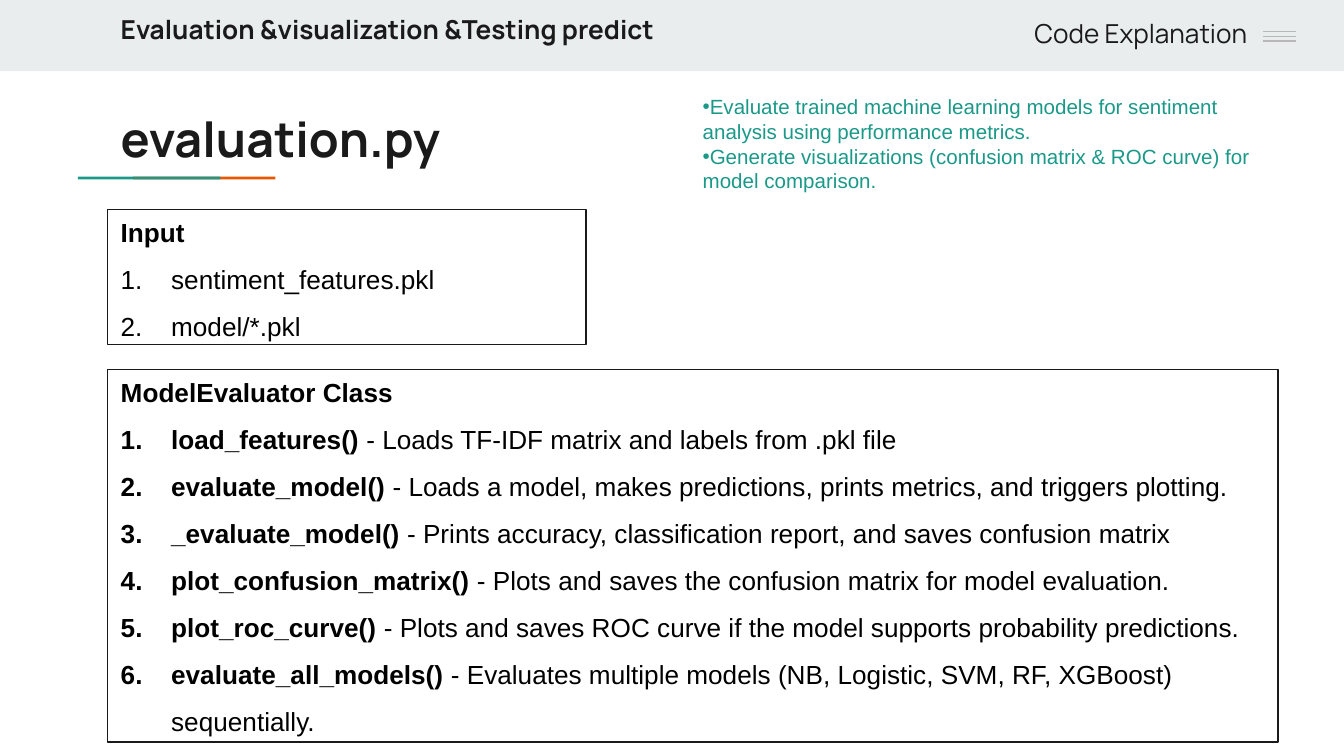
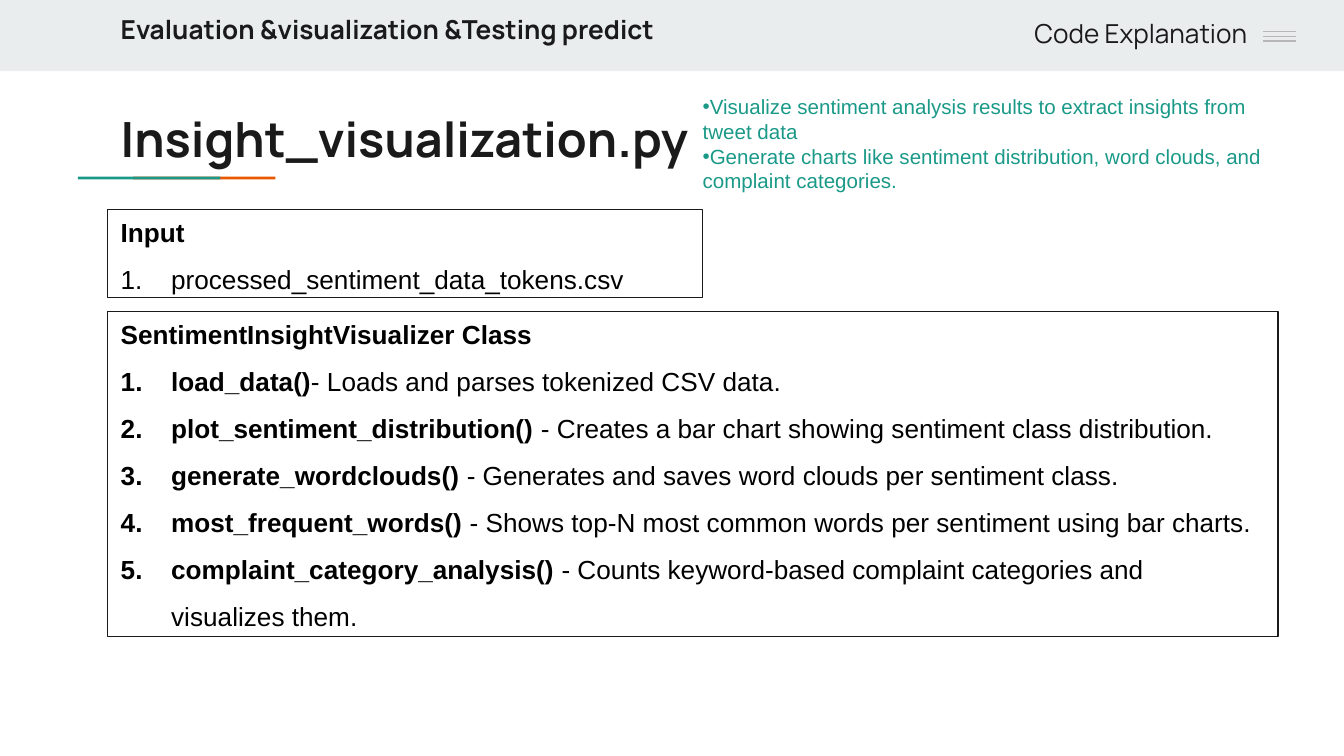
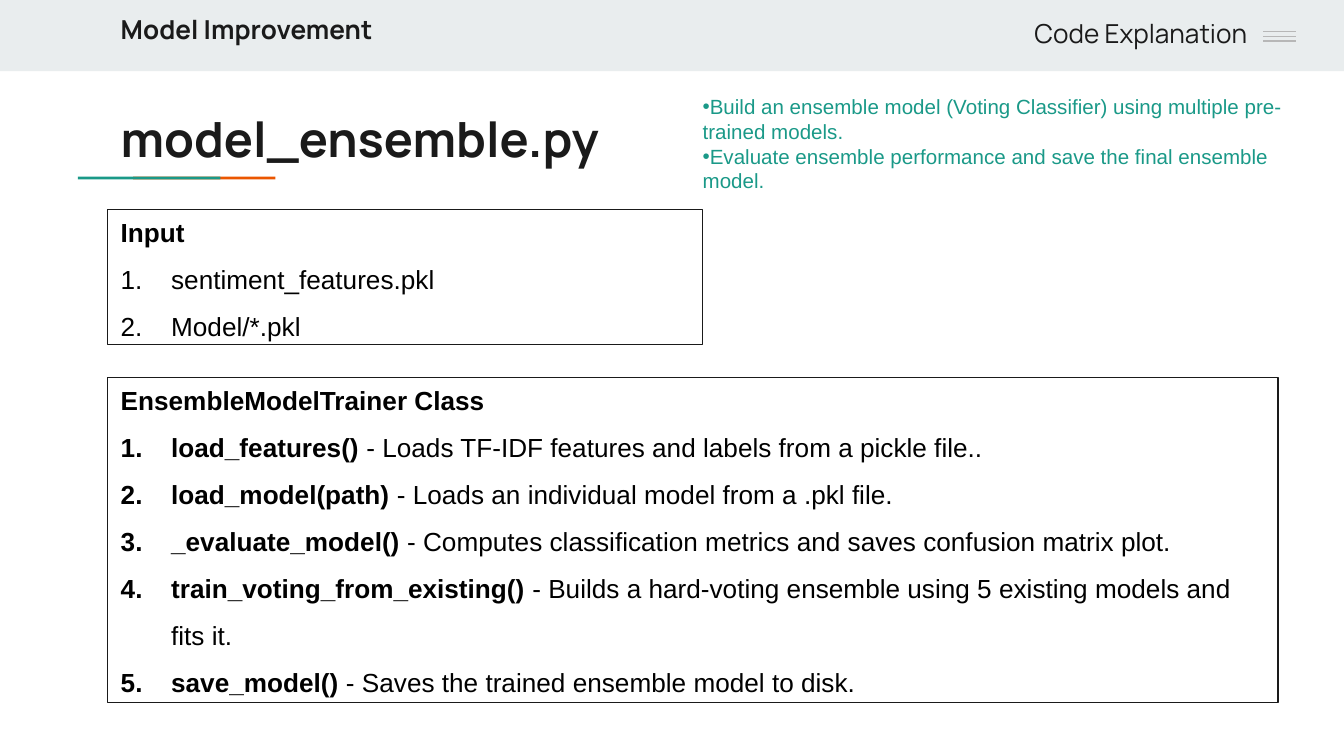
from dataclasses import dataclass, field
from typing import NamedTuple

from lxml.etree import SubElement
from pptx import Presentation
from pptx.dml.color import RGBColor
from pptx.enum.shapes import MSO_CONNECTOR, MSO_SHAPE
from pptx.enum.text import MSO_ANCHOR, MSO_AUTO_SIZE, PP_ALIGN
from pptx.oxml.ns import qn
from pptx.util import Emu, Inches, Pt

SLIDE_W = Inches(10)
SLIDE_H = Emu(SLIDE_W * 9 // 16)
CELL = SLIDE_W / 100


@dataclass(frozen=True)
class Theme:
    """Colours, fonts and type sizes of the deck."""
    band: str = "E9EDEE"
    ink: str = "1A1A1A"
    body: str = "000000"
    teal: str = "1A9988"
    orange: str = "EB5600"
    menu: str = "B7B7B7"
    hairline: Pt = Pt(0.75)
    title: dict = field(default_factory=lambda: {"name": "Manrope", "size": Pt(26), "bold": True})
    section: dict = field(default_factory=lambda: {"name": "Manrope", "size": Pt(14), "bold": True})
    corner: dict = field(default_factory=lambda: {"name": "Manrope", "size": Pt(14), "bold": False})
    goal: dict = field(default_factory=lambda: {"name": "Arial", "size": Pt(11), "bold": False})
    strong: dict = field(default_factory=lambda: {"name": "Arial", "size": Pt(14), "bold": True})
    plain: dict = field(default_factory=lambda: {"name": "Arial", "size": Pt(14), "bold": False})


T = Theme()


class Box(NamedTuple):
    """A rectangle in cells of the 100-column square grid."""
    col: float
    row: float
    cols: float
    rows: float


class Method(NamedTuple):
    """A listed method, or a plain input file when only the note is given."""
    call: str
    note: str


@dataclass(frozen=True)
class Panel:
    """An outlined box with a heading and a numbered list."""
    heading: str
    items: list[Method]
    row: float
    cols: float
    lines: int


@dataclass(frozen=True)
class ModulePage:
    """The content of one slide about a Python module."""
    section: str
    title: str
    goals: list[str]
    panels: list[Panel]


EVALUATION = "Evaluation &visualization &Testing predict"
WIDE = 87.1

PAGES = [
    ModulePage(EVALUATION, "evaluation.py", [
        "Evaluate trained machine learning models for sentiment analysis using performance metrics.",
        "Generate visualizations (confusion matrix & ROC curve) for model comparison.",
    ], [
        Panel("Input", [Method("", "sentiment_features.pkl"), Method("", "model/*.pkl")], 15.6, 35.6, 2),
        Panel("ModelEvaluator Class", [
            Method("load_features() ", "- Loads TF-IDF matrix and labels from .pkl file"),
            Method("evaluate_model() ", "- Loads a model, makes predictions, prints metrics, and triggers plotting."),
            Method("_evaluate_model() ", "- Prints accuracy, classification report, and saves confusion matrix"),
            Method("plot_confusion_matrix() ", "- Plots and saves the confusion matrix for model evaluation."),
            Method("plot_roc_curve() ", "- Plots and saves ROC curve if the model supports probability predictions."),
            Method("evaluate_all_models() ", "- Evaluates multiple models (NB, Logistic, SVM, RF, XGBoost) sequentially."),
        ], 27.5, WIDE, 7),
    ]),
    ModulePage(EVALUATION, "Insight_visualization.py", [
        "Visualize sentiment analysis results to extract insights from tweet data",
        "Generate charts like sentiment distribution, word clouds, and complaint categories.",
    ], [
        Panel("Input", [Method("", "processed_sentiment_data_tokens.csv")], 15.6, 44.3, 1),
        Panel("SentimentInsightVisualizer Class", [
            Method("load_data()", "- Loads and parses tokenized CSV data."),
            Method("plot_sentiment_distribution() ", "- Creates a bar chart showing sentiment class distribution."),
            Method("generate_wordclouds() ", "- Generates and saves word clouds per sentiment class."),
            Method("most_frequent_words() ", "- Shows top-N most common words per sentiment using bar charts."),
            Method("complaint_category_analysis() ", "- Counts keyword-based complaint categories and visualizes them."),
        ], 23.2, WIDE, 6),
    ]),
    ModulePage("Model Improvement", "model_ensemble.py", [
        "Build an ensemble model (Voting Classifier) using multiple pre-trained models.",
        "Evaluate ensemble performance and save the final ensemble model.",
    ], [
        Panel("Input", [Method("", "sentiment_features.pkl"), Method("", "Model/*.pkl")], 15.6, 44.3, 2),
        Panel("EnsembleModelTrainer Class", [
            Method("load_features() ", "- Loads TF-IDF features and labels from a pickle file.."),
            Method("load_model(path) ", "- Loads an individual model from a .pkl file."),
            Method("_evaluate_model() ", "- Computes classification metrics and saves confusion matrix plot."),
            Method("train_voting_from_existing() ",
                   "- Builds a hard-voting ensemble using 5 existing models and fits it."),
            Method("save_model() ", "- Saves the trained ensemble model to disk."),
        ], 28.1, WIDE, 6),
    ]),
]


def grid(*cells: float) -> list[Emu]:
    """Turn grid cells into lengths."""
    return [Emu(round(c * CELL)) for c in cells]


def apply(target, values: dict) -> None:
    """Set every attribute named in a dict of format values."""
    for name, value in values.items():
        setattr(target, name, value)


def add_run(p, text: str, style: dict, colour: str) -> None:
    """Append a formatted run to a paragraph."""
    r = p.add_run()
    r.text = text
    apply(r.font, style)
    r.font.color.rgb = RGBColor.from_string(colour)


def add_bullet(p, tag: str, **attrs: str) -> None:
    """Append a bullet element to a paragraph."""
    SubElement(p._p.get_or_add_pPr(), qn(f"a:{tag}"), attrs)


def add_rect(s, box: Box, fill: str | None = None, line: str | None = None):
    """Draw a rectangle with an optional fill and outline."""
    sp = s.shapes.add_shape(MSO_SHAPE.RECTANGLE, *grid(*box))
    sp.shadow.inherit = False
    if fill:
        sp.fill.solid()
        sp.fill.fore_color.rgb = RGBColor.from_string(fill)
    else:
        sp.fill.background()
    if line:
        sp.line.color.rgb = RGBColor.from_string(line)
        sp.line.width = T.hairline
    else:
        sp.line.fill.background()
    return sp


def add_label(s, box: Box, text: str, style: dict, align: PP_ALIGN = PP_ALIGN.LEFT) -> None:
    """Write a single line of ink-coloured text."""
    tf = s.shapes.add_textbox(*grid(*box)).text_frame
    margin, = grid(1)
    apply(tf, {"word_wrap": True, "margin_top": margin, "margin_bottom": margin})
    p = tf.paragraphs[0]
    p.alignment = align
    add_run(p, text, style, T.ink)


def add_frame(s) -> None:
    """Draw the header band, the title underline and the menu icon."""
    for box, fill in [
        (Box(0, 0, 100, 5.3), T.band),
        (Box(9.9, 13.15, 10.6, 0.2), T.orange),
        (Box(5.8, 13.15, 10.6, 0.2), T.teal),
        (Box(90.6, 0, 9.4, 5), T.band),
    ]:
        add_rect(s, box, fill)
    for i in range(3):
        row = 2.35 + 0.35 * i
        cx = s.shapes.add_connector(MSO_CONNECTOR.STRAIGHT, *grid(94, row, 96.4, row))
        cx.line.color.rgb = RGBColor.from_string(T.menu)
        cx.line.width = T.hairline
        SubElement(cx._element.spPr, qn("a:effectLst"))


def add_goals(s, goals: list[str]) -> None:
    """Write the teal bullet points beside the title."""
    tf = s.shapes.add_textbox(*grid(51.3, 6.5, 45.7, 8.4)).text_frame
    apply(tf, {"word_wrap": True, "vertical_anchor": MSO_ANCHOR.MIDDLE,
               "auto_size": MSO_AUTO_SIZE.SHAPE_TO_FIT_TEXT})
    for i, goal in enumerate(goals):
        p = tf.add_paragraph() if i else tf.paragraphs[0]
        add_bullet(p, "buFont", typeface="Arial")
        add_bullet(p, "buChar", char="•")
        add_run(p, goal, T.goal, T.teal)


def add_panel(s, panel: Panel) -> None:
    """Draw an outlined panel as tall as its heading and lines."""
    sp = add_rect(s, Box(8, panel.row, panel.cols, 3 + 3.53 * panel.lines), line=T.ink)
    tf = sp.text_frame
    apply(tf, {"word_wrap": True, "vertical_anchor": MSO_ANCHOR.TOP,
               "auto_size": MSO_AUTO_SIZE.SHAPE_TO_FIT_TEXT})
    p = tf.paragraphs[0]
    p.alignment = PP_ALIGN.LEFT
    add_run(p, panel.heading, T.strong, T.body)
    indent, = grid(3.75)
    for item in panel.items:
        p = tf.add_paragraph()
        apply(p, {"alignment": PP_ALIGN.LEFT, "line_spacing": 1.5})
        pPr = p._p.get_or_add_pPr()
        pPr.set("marL", str(indent))
        pPr.set("indent", str(-indent))
        add_bullet(p, "buClr")
        SubElement(pPr[-1], qn("a:srgbClr"), val=T.body)
        add_bullet(p, "buFont", typeface="Arial")
        add_bullet(p, "buAutoNum", type="arabicPeriod")
        if item.call:
            add_run(p, item.call, T.strong, T.body)
        add_run(p, item.note, T.plain, T.body)


def add_page(prs, page: ModulePage) -> None:
    """Build one module slide."""
    s = prs.slides.add_slide(prs.slide_layouts[6])
    add_frame(s)
    add_label(s, Box(8, 7.1, 84.1, 5.9), page.title, T.title)
    add_label(s, Box(8, 0, 84.1, 5.9), page.section, T.section)
    add_goals(s, page.goals)
    for panel in page.panels:
        add_panel(s, panel)
    add_label(s, Box(51.4, 0.3, 42.4, 4.3), "Code Explanation", T.corner, PP_ALIGN.RIGHT)


def main() -> None:
    """Build and save the deck."""
    prs = Presentation()
    apply(prs, {"slide_width": SLIDE_W, "slide_height": SLIDE_H})
    for page in PAGES:
        add_page(prs, page)
    prs.save("out.pptx")


if __name__ == "__main__":
    main()
